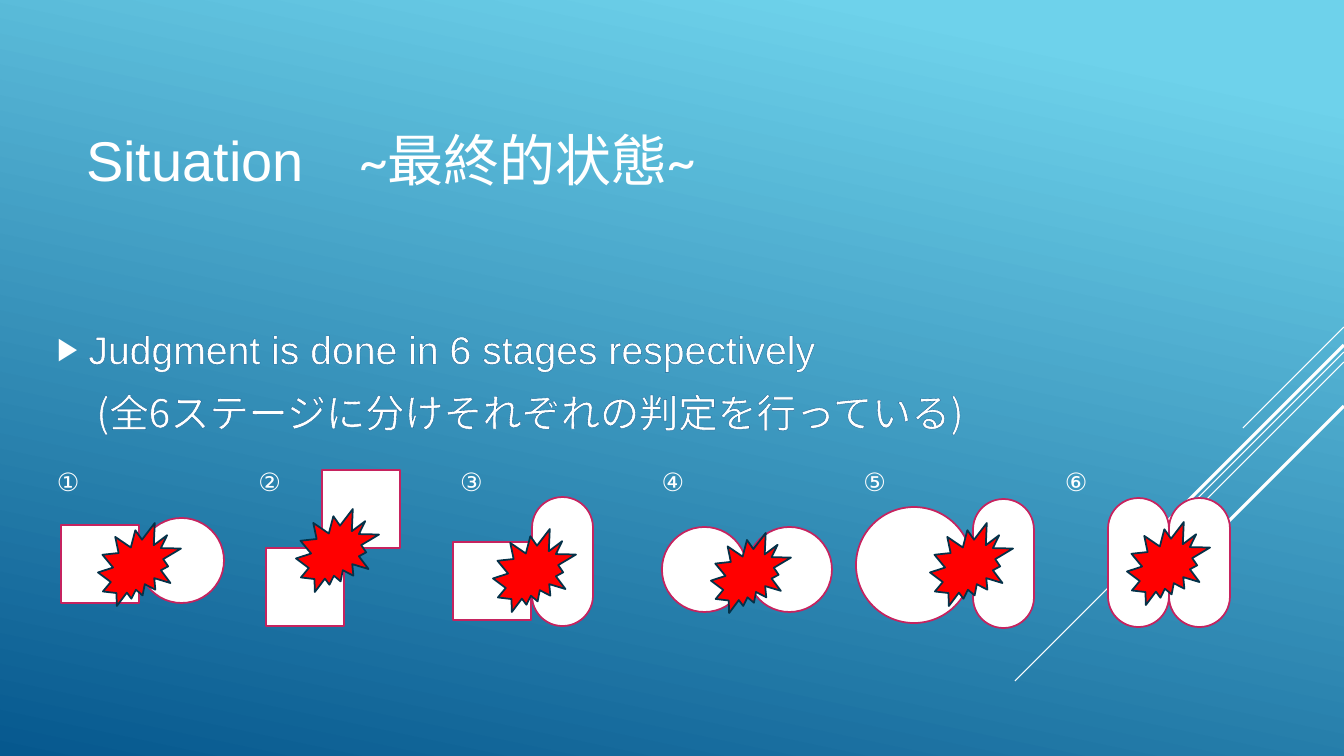
from dataclasses import dataclass
from typing import NamedTuple

from lxml.etree import SubElement
from pptx import Presentation
from pptx.dml.color import RGBColor
from pptx.enum.shapes import MSO_CONNECTOR, MSO_SHAPE
from pptx.enum.text import MSO_ANCHOR, MSO_AUTO_SIZE, PP_ALIGN
from pptx.oxml import parse_xml
from pptx.oxml.ns import nsdecls, qn
from pptx.util import Emu, Inches, Pt


@dataclass(frozen=True)
class Theme:
    sky: str = "6ED2EB"
    deep: str = "06588E"
    white: str = "FFFFFF"
    text_edge: str = "146194"
    body_edge: str = "C6235F"
    burst: str = "FF0000"
    burst_edge: str = "043148"
    title_size: int = 40
    body_size: int = 28
    number_size: int = 18
    latin: str = "Arial"
    tilde: str = "Calibri"
    japanese: str = "Noto Sans CJK JP"
    number: str = "League Spartan"
    edge_width: float = 1.25


class Ray(NamedTuple):
    top: int
    run: int
    width: float


class Kind(NamedTuple):
    preset: MSO_SHAPE
    width: int
    height: int
    fill: str
    edge: str


class Piece(NamedTuple):
    kind: Kind
    left: int
    top: int


THEME = Theme()
SLIDE_WIDTH, SLIDE_HEIGHT = 1344, 756

SQUARE = Kind(MSO_SHAPE.RECTANGLE, 78, 78, THEME.white, THEME.body_edge)
CIRCLE = Kind(MSO_SHAPE.OVAL, 85, 85, THEME.white, THEME.body_edge)
BIG_CIRCLE = Kind(MSO_SHAPE.OVAL, 116, 116, THEME.white, THEME.body_edge)
CAPSULE = Kind(MSO_SHAPE.ROUNDED_RECTANGLE, 61, 129, THEME.white, THEME.body_edge)
BURST = Kind(MSO_SHAPE.EXPLOSION2, 83, 83, THEME.burst, THEME.burst_edge)
SMALL_BURST = BURST._replace(width=80, height=80)

RAYS = [Ray(327, 101, 0.75), Ray(352, 329, 0.75), Ray(362, 209, 0.75),
        Ray(345, 193, 2.25), Ray(406, 140, 2.25)]

COLLISIONS = [
    [Piece(SQUARE, 61, 525), Piece(CIRCLE, 139, 518), Piece(BURST, 98, 523)],
    [Piece(SQUARE, 322, 470), Piece(SQUARE, 266, 548), Piece(BURST, 296, 509)],
    [Piece(SQUARE, 453, 542), Piece(CAPSULE, 532, 497), Piece(BURST, 493, 529)],
    [Piece(CIRCLE, 662, 527), Piece(CIRCLE, 747, 527), Piece(SMALL_BURST, 711, 533)],
    [Piece(BIG_CIRCLE, 856, 507), Piece(CAPSULE, 973, 499), Piece(BURST, 930, 523)],
    [Piece(CAPSULE, 1108, 498), Piece(CAPSULE, 1169, 498), Piece(BURST, 1127, 522)],
]


def px(length: int) -> Emu:
    return Emu(round(length * 914400 / 100.8))


def color(code: str) -> RGBColor:
    return RGBColor.from_string(code)


def place(shape, left: int, top: int, width: int, height: int) -> None:
    shape.left, shape.top = px(left), px(top)
    shape.width, shape.height = px(width), px(height)


def style_paragraph(paragraph, size: int) -> None:
    paragraph.alignment = PP_ALIGN.LEFT
    paragraph.font.size = Pt(size)
    paragraph.font.color.rgb = color(THEME.white)


def add_run(paragraph, text: str, font: str):
    run = paragraph.add_run()
    run.text = text
    run.font.name = font
    SubElement(run.font._element, qn("a:ea"), typeface=font)
    return run


def add_outlined_run(paragraph, text: str, font: str) -> None:
    run = add_run(paragraph, text, font)
    run.font._element.insert(0, parse_xml(
        f'<a:ln {nsdecls("a")} w="{Pt(0.75)}"><a:solidFill>'
        f'<a:srgbClr val="{THEME.text_edge}"/></a:solidFill></a:ln>'))


def set_bullet(paragraph, indent: int, children: list[str]) -> None:
    properties = paragraph._p.get_or_add_pPr()
    properties.set("marL", str(indent))
    properties.set("indent", str(-indent))
    default_font = properties.find(qn("a:defRPr"))
    for child in children:
        default_font.addprevious(parse_xml(child.replace(" ", f' {nsdecls("a")} ', 1)))


def paint_background(slide) -> None:
    fill = slide.background.fill
    fill.gradient()
    fill.gradient_angle = 258
    for stop, code, position in zip(fill.gradient_stops, (THEME.sky, THEME.deep), (0.1, 1)):
        stop.color.rgb = color(code)
        stop.position = position


def fill_title(title) -> None:
    place(title, 76, 76, 940, 166)
    frame = title.text_frame
    frame.auto_size = MSO_AUTO_SIZE.NONE
    frame.vertical_anchor = MSO_ANCHOR.MIDDLE
    paragraph = frame.paragraphs[0]
    style_paragraph(paragraph, THEME.title_size)
    for text, font in (("Situation\u3000", THEME.latin), ("~", THEME.tilde),
                       ("最終的状態", THEME.japanese), ("~", THEME.tilde)):
        add_run(paragraph, text, font)


def fill_body(body) -> None:
    place(body, 47, 320, 1234, 130)
    frame = body.text_frame
    frame.auto_size = MSO_AUTO_SIZE.NONE
    frame.vertical_anchor = MSO_ANCHOR.TOP
    english, japanese = frame.paragraphs[0], frame.add_paragraph()
    for paragraph, before in ((english, 0), (japanese, 5.6)):
        style_paragraph(paragraph, THEME.body_size)
        paragraph.space_before = Pt(before)
        paragraph.space_after = Pt(6)
    set_bullet(english, Inches(0.31), [
        f'<a:buClr ><a:srgbClr val="{THEME.white}"/></a:buClr>',
        '<a:buSzPct val="80000"/>',
        f'<a:buFont typeface="{THEME.latin}"/>',
        '<a:buChar char="▶"/>'])
    set_bullet(japanese, 0, ['<a:buNone />'])
    add_outlined_run(english, "Judgment is done in 6 stages respectively", THEME.latin)
    add_outlined_run(japanese, "\u3000", THEME.latin)
    add_outlined_run(japanese, "(全6ステージに分けそれぞれの判定を行っている)", THEME.japanese)


def add_ray(slide, ray: Ray) -> None:
    line = slide.shapes.add_connector(
        MSO_CONNECTOR.STRAIGHT, px(SLIDE_WIDTH), px(ray.top),
        px(SLIDE_WIDTH - ray.run), px(ray.top + ray.run))
    line.line.color.rgb = color(THEME.white)
    line.line.width = Pt(ray.width)
    SubElement(line._element.spPr, qn("a:effectLst"))


def add_piece(slide, piece: Piece) -> None:
    kind = piece.kind
    shape = slide.shapes.add_shape(kind.preset, px(piece.left), px(piece.top),
                                   px(kind.width), px(kind.height))
    if kind.preset == MSO_SHAPE.ROUNDED_RECTANGLE:
        shape.adjustments[0] = 0.5
    shape.shadow.inherit = False
    shape.fill.solid()
    shape.fill.fore_color.rgb = color(kind.fill)
    shape.line.color.rgb = color(kind.edge)
    shape.line.width = Pt(THEME.edge_width)


def add_stage_numbers(slide, count: int) -> None:
    box = slide.shapes.add_textbox(px(47), px(461), px(1063), px(40))
    box.text_frame.word_wrap = True
    paragraph = box.text_frame.paragraphs[0]
    style_paragraph(paragraph, THEME.number_size)
    tabs = parse_xml(f'<a:tabLst {nsdecls("a")}/>')
    for stage in range(1, count):
        SubElement(tabs, qn("a:tab"), pos=str(Inches(2 * stage)), algn="l")
    paragraph._p.pPr.find(qn("a:defRPr")).addprevious(tabs)
    add_run(paragraph, "\t".join(chr(ord("①") + stage) for stage in range(count)), THEME.number)


presentation = Presentation()
presentation.slide_width, presentation.slide_height = px(SLIDE_WIDTH), px(SLIDE_HEIGHT)
slide = presentation.slides.add_slide(presentation.slide_layouts[1])
paint_background(slide)
fill_title(slide.shapes.title)
fill_body(slide.placeholders[1])
for ray in RAYS:
    add_ray(slide, ray)
for collision in COLLISIONS:
    for piece in collision:
        add_piece(slide, piece)
add_stage_numbers(slide, len(COLLISIONS))
presentation.save("out.pptx")
